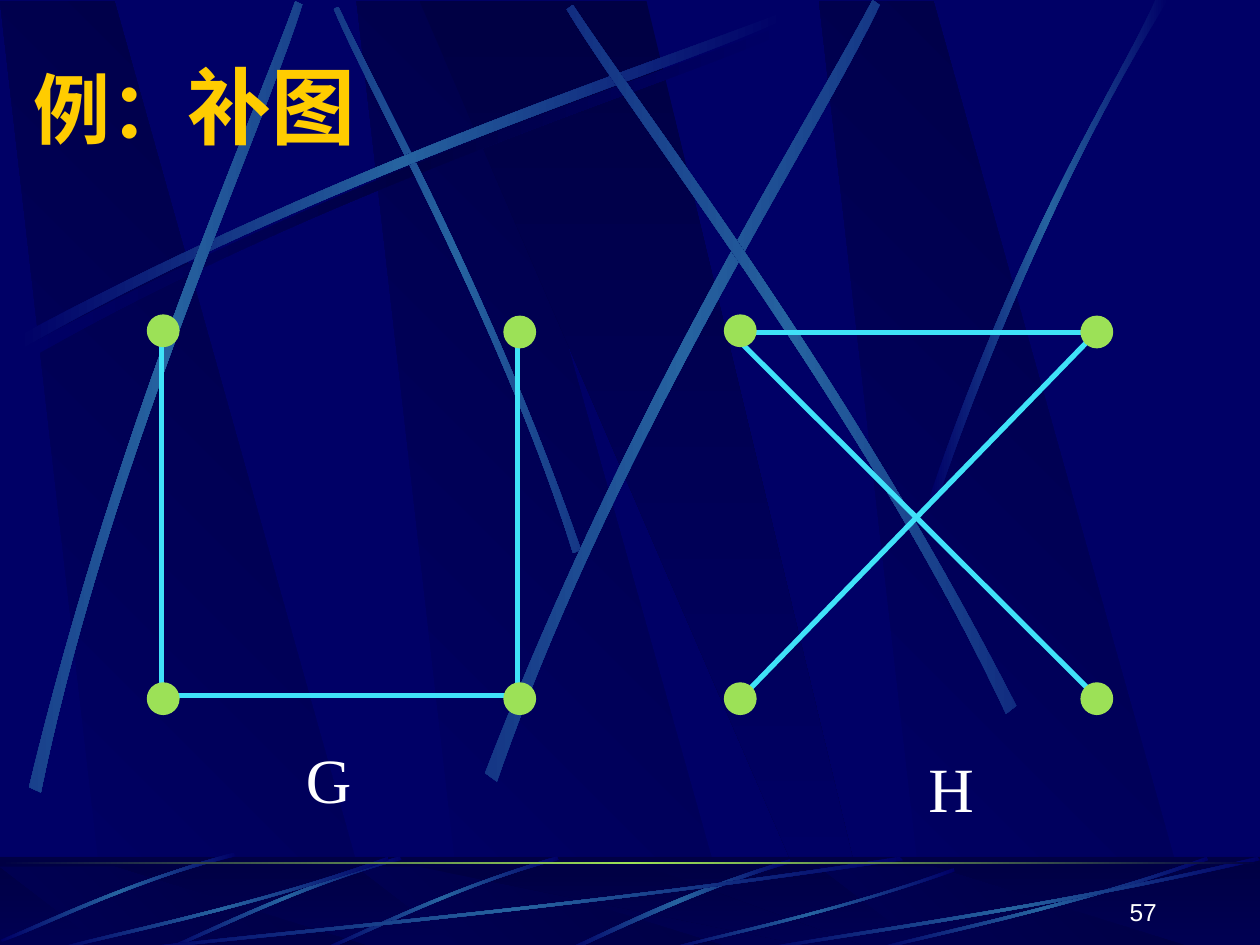
from copy import deepcopy
from dataclasses import dataclass

from lxml.etree import SubElement
from pptx import Presentation
from pptx.dml.color import RGBColor
from pptx.enum.shapes import MSO_CONNECTOR, MSO_SHAPE
from pptx.enum.text import MSO_ANCHOR, MSO_AUTO_SIZE, PP_ALIGN
from pptx.oxml.ns import qn
from pptx.util import Inches, Pt

NAVY = RGBColor(0x00, 0x00, 0x66)
DARK = RGBColor(0x00, 0x00, 0x44)
STEEL = RGBColor(0x26, 0x63, 0xA0)
GREEN = RGBColor(0x9C, 0xE1, 0x57)
CYAN = RGBColor(0x40, 0xE2, 0xF8)
GOLD = RGBColor(0xFF, 0xCC, 0x00)
WHITE = RGBColor(0xFF, 0xFF, 0xFF)

SERIF = "Times New Roman"
HAN = "Noto Sans CJK SC"

BAND = ((28.5, 100), (100, 100), (30.1, 0), (0, 0))
WEDGE = ((0, 0), (90, 100), (100, 100), (49.9, 0))
ARC = ((0, 96.3), (43.4, 43.4), (82.9, 15.4), (99.7, 0),
       (100, 2.2), (83.6, 19.1), (38.5, 49.8), (0.5, 100))
TALL = ((0, 99.2), (40.2, 43.6), (79.4, 16.6), (94.7, 0),
        (100, 0), (51.9, 36.5), (16.4, 81.1), (3.2, 100))
LOW = ((99.5, 0), (49.5, 37), (16.1, 82.2), (0, 98.6),
       (2.8, 100), (23.3, 76.7), (68.3, 24.7), (100, 4.1))


@dataclass
class Box:
    left: float
    top: float
    width: float
    height: float


@dataclass
class Streak:
    box: Box
    turn: float = 0
    sides: str = ""
    form: tuple = ARC
    core: RGBColor = STEEL


@dataclass
class Label:
    box: Box
    runs: list
    frame: dict
    align: PP_ALIGN = PP_ALIGN.LEFT


@dataclass
class Graph:
    edges: list
    nodes: list


STREAKS = [
    Streak(Box(0.2, 0.18, 6.08, 2.67), core=DARK),
    Streak(Box(1.41, 1.35, 4.42, 1.75), 45, "x"),
    Streak(Box(0.14, 0.1, 6.08, 2.67)),
    Streak(Box(-1.71, 1.82, 6.08, 2.67), 311.7),
    Streak(Box(2.31, 1.6, 6.24, 3.01), 321.6),
    Streak(Box(3.23, 1.52, 6.08, 2.67), 34.7, "x"),
    Streak(Box(7.38, 0, 1.89, 3.97), form=TALL),
]
ROOTS = [
    Streak(Box(4.48, 6.82, 1.8, 0.73), form=LOW),
    Streak(Box(2.58, 6.76, 1.84, 0.83), 315, "x"),
    Streak(Box(1.33, 6.76, 1.84, 0.83), 315, "x"),
    Streak(Box(0.04, 6.7, 1.8, 0.85), 315, "x"),
    Streak(Box(1, 6.8, 6.17, 0.75), 0, "xy"),
    Streak(Box(0.42, 6.8, 2.67, 0.75), 0, "xy"),
    Streak(Box(5.27, 6.89, 2.31, 0.66), 0, "xy"),
    Streak(Box(6.92, 6.8, 2.67, 0.75), 0, "xy"),
    Streak(Box(6, 6.8, 4, 0.75), 0, "xy"),
]
GRAPHS = [
    Graph([(4.08, 5.52, 1.33, 5.52), (1.28, 2.67, 1.28, 5.58),
           (4.11, 2.67, 4.11, 5.59)],
          [(1.17, 2.5), (1.17, 5.42), (4, 2.51), (4, 5.42)]),
    Graph([(5.83, 2.67, 8.75, 5.58), (8.67, 2.64, 5.92, 2.64),
           (5.92, 5.5, 8.67, 2.67)],
          [(5.75, 2.5), (5.75, 5.42), (8.58, 2.51), (8.58, 5.42)]),
]
GROW = {"auto_size": MSO_AUTO_SIZE.SHAPE_TO_FIT_TEXT}
LETTER = {"name": SERIF, "size": Pt(36)}
LABELS = [
    Label(Box(0.17, 0.38, 8.5, 0.9),
          [("例：", {"name": SERIF, "size": Pt(44), "bold": True}, GOLD),
           ("补图", {"name": HAN, "size": Pt(48), "bold": True}, GOLD)],
          {"word_wrap": True, "vertical_anchor": MSO_ANCHOR.MIDDLE, **GROW}),
    Label(Box(2.33, 5.83, 0.56, 0.7), [("G", LETTER, WHITE)],
          {"word_wrap": False, **GROW}),
    Label(Box(7.27, 5.9, 0.56, 0.7), [("H", LETTER, WHITE)],
          {"word_wrap": False, **GROW}),
    Label(Box(7.2, 6.9, 2.08, 0.5),
          [("57", {"name": "Arial", "size": Pt(14)}, WHITE)],
          {"word_wrap": True, "vertical_anchor": MSO_ANCHOR.BOTTOM},
          PP_ALIGN.RIGHT),
]


def apply(item, values: dict) -> None:
    for name, value in values.items():
        setattr(item, name, value)


def spots(box: Box) -> list:
    return [Inches(n) for n in (box.left, box.top, box.width, box.height)]


def shade(shape, hues: list, angle: float = 0) -> None:
    fill = shape.fill
    fill.gradient()
    fill.gradient_angle = angle
    grad = shape._element.spPr.find(qn("a:gradFill"))
    grad.set("rotWithShape", "0")
    stops = grad.find(qn("a:gsLst"))
    while len(stops) < len(hues):
        stops.append(deepcopy(stops[0]))
    for step, (stop, hue) in enumerate(zip(fill.gradient_stops, hues)):
        stop.color.rgb = hue
        stop.position = step / (len(hues) - 1)
    shape.line.fill.background()
    shape.shadow.inherit = False


def trace(slide, box: Box, dots: tuple):
    left, top, width, height = spots(box)
    ends = [(round(left + x * width / 100), round(top + y * height / 100))
            for x, y in dots]
    pen = slide.shapes.build_freeform(*ends[0], scale=1.0)
    pen.add_line_segments(ends[1:], close=True)
    shape = pen.convert_to_shape()
    apply(shape, dict(zip(("left", "top", "width", "height"), spots(box))))
    return shape


def bend(shape) -> None:
    lines = list(shape._element.iter(qn("a:lnTo")))
    for trio in (lines[:3], lines[4:7]):
        curve = SubElement(trio[0].getparent(), qn("a:cubicBezTo"))
        trio[0].addprevious(curve)
        for line in trio:
            curve.append(line[0])
            line.getparent().remove(line)


def draw_streak(slide, streak: Streak) -> None:
    dots = [(100 - x if "x" in streak.sides else x,
             100 - y if "y" in streak.sides else y) for x, y in streak.form]
    shape = trace(slide, streak.box, dots)
    bend(shape)
    shape.rotation = streak.turn
    shade(shape, [NAVY, streak.core, NAVY])


def draw_bands(slide, top: float, height: float) -> None:
    for left in (2.83, 0, 6.5):
        shade(trace(slide, Box(left, top, 3.02, height), BAND), [NAVY, DARK], 45)
    shade(trace(slide, Box(3.33, top, 3.61, height), WEDGE), [DARK, NAVY], 270)


def draw_bar(slide, box: Box):
    return slide.shapes.add_shape(MSO_SHAPE.RECTANGLE, *spots(box))


def draw_scene(slide) -> None:
    draw_bands(slide, 0.01, 7.52)
    for streak in STREAKS:
        draw_streak(slide, streak)
    foot = Box(0, 6.8, 10, 0.75)
    shade(draw_bar(slide, foot), [DARK, NAVY], 270)
    draw_bands(slide, 6.88, 0.66)
    veil = draw_bar(slide, foot)
    veil.fill.solid()
    veil.fill.fore_color.rgb = DARK
    tint = veil._element.spPr.find(".//" + qn("a:srgbClr"))
    SubElement(tint, qn("a:alpha"), val="50000")
    veil.line.fill.background()
    veil.shadow.inherit = False
    for root in ROOTS:
        draw_streak(slide, root)
    shade(draw_bar(slide, Box(0, 6.84, 10, 0.02)), [DARK, GREEN, DARK])


def move_scene(slide, master) -> None:
    tree = master.element.cSld.spTree
    for number, shape in enumerate(list(slide.shapes), 100):
        shape._element.nvSpPr.cNvPr.set("id", str(number))
        tree.append(shape._element)


def draw_graph(slide, graph: Graph) -> None:
    for edge in graph.edges:
        line = slide.shapes.add_connector(
            MSO_CONNECTOR.STRAIGHT, *[Inches(n) for n in edge])
        line.line.color.rgb = CYAN
        line.line.width = Pt(3)
        SubElement(line._element.spPr, qn("a:effectLst"))
    for left, top in graph.nodes:
        node = slide.shapes.add_shape(
            MSO_SHAPE.OVAL, *spots(Box(left, top, 0.25, 0.25)))
        node.shadow.inherit = False
        node.fill.solid()
        node.fill.fore_color.rgb = GREEN
        node.line.color.rgb = GREEN
        node.line.width = Pt(0.75)


def draw_label(slide, label: Label) -> None:
    frame = slide.shapes.add_textbox(*spots(label.box)).text_frame
    apply(frame, label.frame)
    para = frame.paragraphs[0]
    para.alignment = label.align
    for text, style, hue in label.runs:
        run = para.add_run()
        run.text = text
        apply(run.font, style)
        run.font.color.rgb = hue
        SubElement(run.font._element, qn("a:ea"), typeface=HAN)


def main() -> None:
    deck = Presentation()
    apply(deck, {"slide_width": Inches(10), "slide_height": Inches(7.5)})
    slide = deck.slides.add_slide(deck.slide_layouts[6])
    back = slide.background.fill
    back.solid()
    back.fore_color.rgb = NAVY
    draw_scene(slide)
    move_scene(slide, deck.slide_master)
    for graph in GRAPHS:
        draw_graph(slide, graph)
    for label in LABELS:
        draw_label(slide, label)
    deck.save("out.pptx")


if __name__ == "__main__":
    main()
